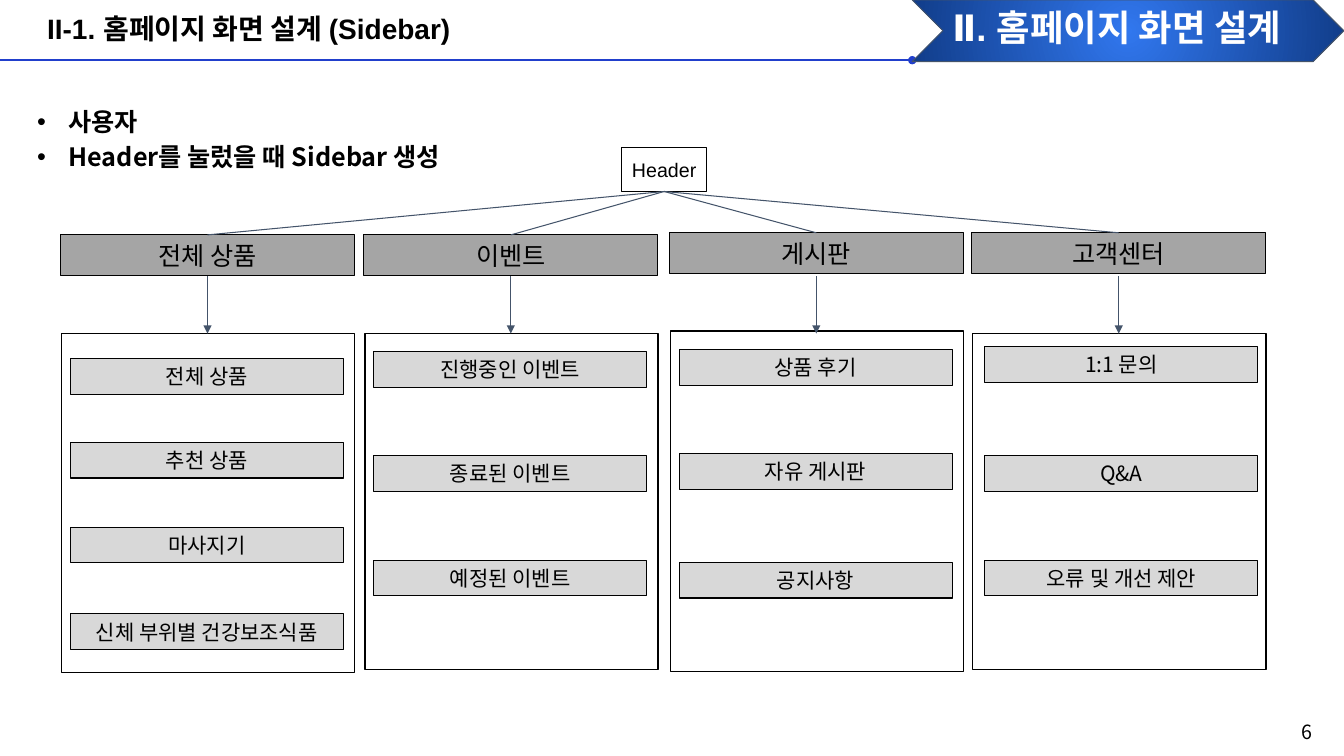
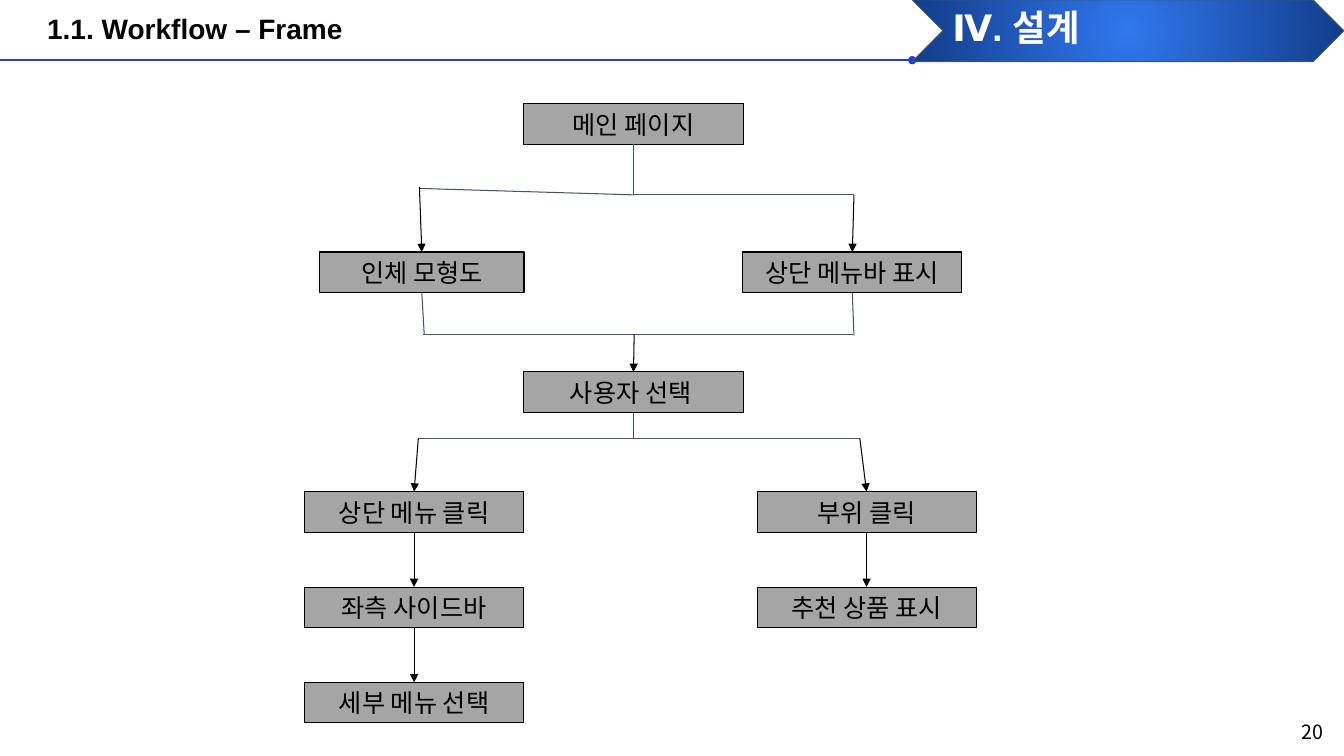
import pptx
import pptx.util
import pptx.dml.color
import pptx.enum.shapes
import pptx.enum.text
import pptx.oxml.ns
from lxml import etree

Pt = pptx.util.Pt
SHAPE = pptx.enum.shapes.MSO_SHAPE
ALIGN = pptx.enum.text.PP_ALIGN
ANCHOR = pptx.enum.text.MSO_ANCHOR
qn = pptx.oxml.ns.qn

BLACK, WHITE, SLATE = "000000", "FFFFFF", "44546A"
HEADING_GREY, ITEM_GREY, RULE_BLUE = "A5A5A5", "D8D8D8", "213FCC"
BANNER_GLOW, BANNER_EDGE = "3177EE", "113D8A"
LATIN, KOREAN = "Arial", "Noto Sans CJK KR"
BOX_HEIGHT = 29

# Sidebar: each menu has its left edge, heading top, panel top and height,
# item indent, and items with their tops.
SIDEBAR_NOTES = ["사용자", "Header를 눌렀을 때 Sidebar 생성"]
HEADER = (444.2, 105.1, 60.5, 31.7)
MENU_WIDTH, ITEM_WIDTH, ITEM_HEIGHT = 210, 195, 25.4
MENUS = [
    ("전체 상품", 43.2, 167.8, 238.3, 242, 7,
     [("전체 상품", 256.3), ("추천 상품", 316.1), ("마사지기", 376.6),
      ("신체 부위별 건강보조식품", 438.5)]),
    ("이벤트", 259.9, 167.8, 238.3, 240, 7,
     [("진행중인 이벤트", 251.3), ("종료된 이벤트", 325.4), ("예정된 이벤트", 400.3)]),
    ("게시판", 478.1, 166.3, 236.4, 243.4, 7,
     [("상품 후기", 249.8), ("자유 게시판", 324), ("공지사항", 401.8)]),
    ("고객센터", 694.1, 166.3, 238.3, 240, 9.4,
     [("1:1 문의", 247.7), ("Q&A", 325.4), ("오류 및 개선 제안", 400.3)]),
]

# Workflow: centre x, top and width of each step.
STEPS = {
    "main": ("메인 페이지", 452.5, 74.2, 156.5),
    "body": ("인체 모형도", 301.3, 180, 146),
    "menubar": ("상단 메뉴바 표시", 608.8, 180, 156.5),
    "choice": ("사용자 선택 ", 452.5, 265.7, 156.5),
    "menu click": ("상단 메뉴 클릭", 295.8, 351.2, 156.5),
    "part click": ("부위 클릭", 619, 351.2, 156.5),
    "sidebar": ("좌측 사이드바", 295.8, 419.3, 156.5),
    "products": ("추천 상품 표시", 619, 419.3, 156.5),
    "submenu": ("세부 메뉴 선택", 295.8, 487.4, 156.5),
}
# A name means the bottom of that step; a pair is a point between steps.
SPLIT, MERGE, FORK = (452.5, 139.2), (453, 239), (452.5, 313.2)
BRANCHES = [
    ("main", SPLIT), (SPLIT, (299.6, 134.6)), (SPLIT, (610, 139.2)),
    ("body", (303, 238.5)), ("menubar", (610, 239.8)), ((302, 239), (609, 239)),
    ("choice", FORK), (FORK, (298.8, 313.2)), (FORK, (614.2, 313.2)),
]
ARROWS = [
    ((299.6, 133.5), "body"), ((610, 139.2), "menubar"), (MERGE, "choice"),
    ((298.8, 313.2), "menu click"), ((614.2, 313.2), "part click"),
    ("menu click", "sidebar"), ("part click", "products"), ("sidebar", "submenu"),
]


def rgb(hex_colour):
    return pptx.dml.color.RGBColor.from_string(hex_colour)


def write(shape, lines, size, colour=BLACK, font=KOREAN, bold=False,
          align=ALIGN.LEFT, spacing=1.0, bulleted=False):
    frame = shape.text_frame
    frame.word_wrap = True
    frame.vertical_anchor = ANCHOR.MIDDLE
    frame.text = "\n".join(lines)
    for index, paragraph in enumerate(frame.paragraphs):
        if bulleted:
            add_bullet(paragraph)
        paragraph.alignment = align
        paragraph.line_spacing = spacing
        if index:
            paragraph.space_before = Pt(3)
        for run in paragraph.runs:
            run.font.size = Pt(size)
            run.font.bold = bold
            run.font.name = font
            run.font.color.rgb = rgb(colour)
            east_asian = etree.Element(qn("a:ea"), typeface=KOREAN)
            run.font._element.find(qn("a:latin")).addnext(east_asian)


def add_bullet(paragraph):
    properties = paragraph._p.get_or_add_pPr()
    properties.set("marL", str(Pt(22.5)))
    properties.set("indent", str(-Pt(22.5)))
    etree.SubElement(properties, qn("a:buFont"), typeface=LATIN)
    etree.SubElement(properties, qn("a:buChar"), char="•")


def add_label(slide, bounds, lines, size, **style):
    write(slide.shapes.add_textbox(*map(Pt, bounds)), lines, size, **style)


def add_box(slide, bounds, fill=None, border=0.75, line=BLACK, preset=SHAPE.RECTANGLE):
    box = slide.shapes.add_shape(preset, *map(Pt, bounds))
    box.shadow.inherit = False
    if fill:
        box.fill.solid()
        box.fill.fore_color.rgb = rgb(fill)
    else:
        box.fill.background()
    box.line.color.rgb = rgb(line)
    box.line.width = Pt(border)
    return box


def add_line(slide, start, end, colour=SLATE, width=0.75, tip=None):
    line = slide.shapes.add_connector(
        pptx.enum.shapes.MSO_CONNECTOR.STRAIGHT, *map(Pt, (*start, *end)))
    line.line.color.rgb = rgb(colour)
    line.line.width = Pt(width)
    if tip:
        etree.SubElement(line.line._get_or_add_ln(), qn("a:tailEnd"), type=tip)
    etree.SubElement(line._element.spPr, qn("a:effectLst"))


def add_banner(slide):
    banner = add_box(slide, (651.6, 0, 308.4, 44), line=SLATE, preset=SHAPE.CHEVRON)
    banner.adjustments[0] = 0.5
    banner.fill.gradient()
    for stop, colour in zip(banner.fill.gradient_stops, (BANNER_GLOW, BANNER_EDGE)):
        stop.color.rgb = rgb(colour)
    gradient = banner._element.spPr.find(qn("a:gradFill"))
    gradient.remove(gradient.find(qn("a:lin")))
    circle = etree.SubElement(gradient, qn("a:path"), path="circle")
    etree.SubElement(circle, qn("a:fillToRect"), l="50000", t="50000", r="50000", b="50000")


def new_slide(deck, title, chapter, number):
    """Add a blank slide with the shared rule, banner, titles and page number."""
    slide = deck.slides.add_slide(deck.slide_layouts[6])
    add_line(slide, (0, 43), (651.6, 43), RULE_BLUE, 1.5, "oval")
    add_banner(slide)
    add_label(slide, (922.3, 510.5, 44.6, 24.5), [number], 14)
    heading = dict(font=LATIN, bold=True, spacing=0.9)
    add_label(slide, (26.6, 0, 625, 43.2), [title], 20, **heading)
    add_label(slide, (673.2, 0, 286.8, 43.2), [chapter], 26, colour=WHITE, **heading)
    return slide


def draw_sidebar(slide):
    add_label(slide, (19.4, 70.6, 384, 57.6), SIDEBAR_NOTES, 18, bold=True, bulleted=True)
    write(add_box(slide, HEADER), ["Header"], 14, font=LATIN, align=ALIGN.CENTER)
    left, top, width, height = HEADER
    header_bottom = (left + width / 2, top + height)
    for name, left, top, panel_top, panel_height, indent, items in MENUS:
        heading = add_box(slide, (left, top, MENU_WIDTH, BOX_HEIGHT), HEADING_GREY)
        write(heading, [name], 18, align=ALIGN.CENTER)
        add_box(slide, (left + 0.7, panel_top, MENU_WIDTH - 0.5, panel_height), border=1)
        for item, item_top in items:
            entry = add_box(slide, (left + indent, item_top, ITEM_WIDTH, ITEM_HEIGHT), ITEM_GREY)
            write(entry, [item], 15, align=ALIGN.CENTER)
        centre = left + MENU_WIDTH / 2
        add_line(slide, header_bottom, (centre, top))
        add_line(slide, (centre, 197.3), (centre, 238.3), tip="triangle")


def step_edge(place, bottom):
    """Return a point unchanged, or the middle of a step's top or bottom edge."""
    if place not in STEPS:
        return place
    _, centre, top, _ = STEPS[place]
    return centre, top + BOX_HEIGHT * bottom


def draw_workflow(slide):
    for name, centre, top, width in STEPS.values():
        step = add_box(slide, (centre - width / 2, top, width, BOX_HEIGHT), HEADING_GREY)
        write(step, [name], 18, align=ALIGN.CENTER)
    for start, end in BRANCHES:
        add_line(slide, step_edge(start, True), end)
    for start, end in ARROWS:
        add_line(slide, step_edge(start, True), step_edge(end, False), BLACK, tip="triangle")


def main():
    deck = pptx.Presentation()
    deck.slide_width, deck.slide_height = Pt(960), Pt(540)
    draw_sidebar(new_slide(deck, "II-1. 홈페이지 화면 설계 (Sidebar)", "Ⅱ. 홈페이지 화면 설계", "6"))
    draw_workflow(new_slide(deck, "1.1. Workflow – Frame", "Ⅳ. 설계", "20"))
    deck.save("out.pptx")


if __name__ == "__main__":
    main()
